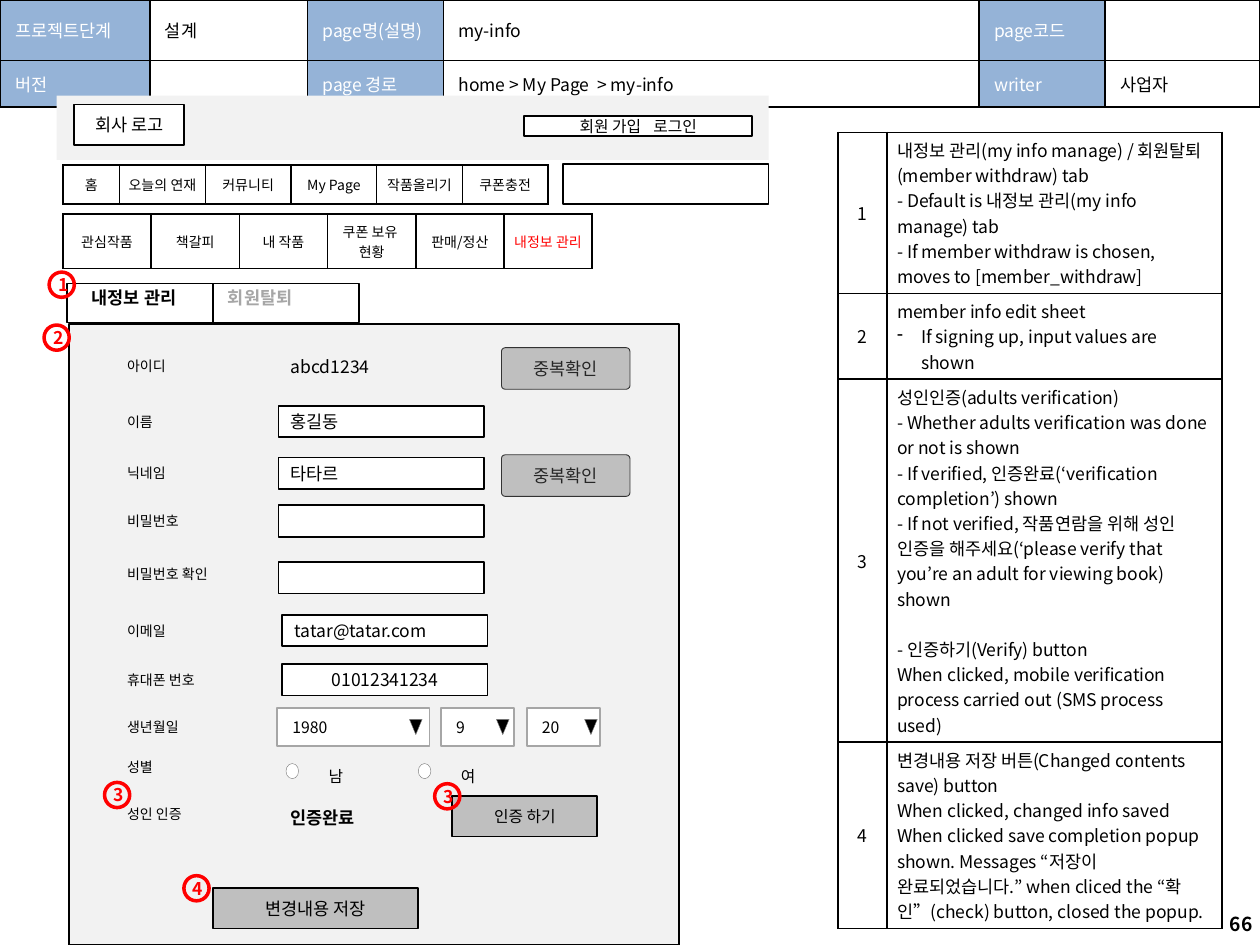
from lxml import etree
from pptx import Presentation
from pptx import util as u
from pptx.dml.color import RGBColor
from pptx.enum import shapes, text
from pptx.oxml.ns import qn

THEME = {
    "font": "Noto Sans CJK KR", "button_font": "Calibri",
    "ink": "000000", "white": "FFFFFF", "head": "95B3D7", "panel": "F2F2F2",
    "button": "BFBFBF", "muted": "A6A6A6", "red": "FF0000", "edge": "333333",
    "button_ink": "262626", "control": "808080",
    "small": 8, "mid": 9, "body": 10, "page": 11,
}
T = THEME
W, H = 10, 7.5
C, R = text.PP_ALIGN.CENTER, text.PP_ALIGN.RIGHT
MID, TOP = text.MSO_ANCHOR.MIDDLE, text.MSO_ANCHOR.TOP
RECT, OVAL = shapes.MSO_SHAPE.RECTANGLE, shapes.MSO_SHAPE.OVAL

# ---- Content ----
HEADER = [["프로젝트단계", "설계", "page명(설명)", "my-info", "page코드", ""],
          ["버전", "", "page 경로", "home > My Page  > my-info", "writer", "사업자"]]
MENU = ["홈", "오늘의 연재", "커뮤니티", "My Page", "작품올리기", "쿠폰충전"]
SUBMENU = ["관심작품", "책갈피", "내 작품", ["쿠폰 보유 ", "현황"], "판매/정산", "내정보 관리"]
NOTES = [
    ["내정보 관리(my info manage) / 회원탈퇴(member withdraw) tab\n"
     "- Default is 내정보 관리(my info manage) tab\n"
     "- If member withdraw is chosen, moves to [member_withdraw]"],
    ["member info edit sheet", {"bullet": "If signing up, input values are shown"}],
    ["성인인증(adults verification)",
     "- Whether adults verification was done or not is shown",
     "- If verified, 인증완료(‘verification completion’) shown",
     "- If not verified, 작품연람을 위해 성인 인증을 해주세요"
     "(‘please verify that you’re an adult for viewing book) shown",
     {"spaced": "- 인증하기(Verify) button"},
     "When clicked, mobile verification process carried out (SMS process used)"],
    ["변경내용 저장 버튼(Changed contents save) button",
     "When clicked, changed info saved",
     "When clicked save completion popup shown. Messages “저장이 완료되었습니다.” "
     "when cliced the “확인”(check) button, closed the popup."],
]
NOTE_HEIGHTS = [1.28, 0.67, 2.88, 1.48]
LABELS = [("아이디", 2.79), ("이름", 3.23), ("닉네임", 3.64), ("비밀번호", 4.02),
          ("비밀번호 확인", 4.44), ("이메일", 4.89), ("휴대폰 번호", 5.28),
          ("생년월일", 5.65), ("성별", 5.97), ("성인 인증", 6.34)]
FIELDS = [("홍길동", 2.21, 3.22, None), ("타타르", 2.21, 3.63, None), ("", 2.21, 4.01, None),
          ("", 2.21, 4.46, None), ("tatar@tatar.com", 2.24, 4.88, None),
          ("01012341234", 2.24, 5.27, C)]
BIRTH = [("1980", 2.2, 1.21, 3.25), ("9", 3.5, 0.58, 3.94), ("20", 4.18, 0.58, 4.64)]
GENDER = [("남", 2.27), ("여", 3.32)]
TABS = [("내정보 관리", 0.65, T["ink"]), ("회원탈퇴", 1.73, T["muted"])]
BADGES = [("1", 0.39, 2.16), ("2", 0.35, 2.58), ("3", 0.83, 6.21),
          ("3", 3.45, 6.22), ("4", 1.46, 6.95)]

prs = Presentation()
prs.slide_width, prs.slide_height = u.Inches(W), u.Inches(H)
s = prs.slides.add_slide(prs.slide_layouts[6])


def box(*lengths):
    return [u.Inches(v) for v in lengths]


def sub(parent, tag, **attrs):
    return etree.SubElement(parent, qn(tag), attrs)


# ---- Text ----
def write(tf, content, size=T["body"], color=T["ink"], bold=False, align=None,
          font=T["font"], spacing=None, gap=None):
    """Content is one paragraph or a list; gap widens the space between two words."""
    for i, item in enumerate(content if isinstance(content, list) else [content]):
        p = tf.paragraphs[0] if i == 0 else tf.add_paragraph()
        kind, words = next(iter(item.items())) if isinstance(item, dict) else ("", item)
        if kind == "bullet":
            pPr = p._p.get_or_add_pPr()
            pPr.set("marL", str(u.Inches(0.19)))
            pPr.set("indent", str(-u.Inches(0.19)))
            sub(pPr, "a:buChar", char="-")
        if kind == "spaced":
            p.space_before = u.Pt(14.4)
        p.alignment, p.line_spacing = align, spacing
        if gap:
            for part in (words[0], " ", words[1]):
                p.add_run().text = part
            p.runs[1]._r.get_or_add_rPr().set("spc", str(gap))
        else:
            p.text = words
        for r in p.runs:
            for key, value in {"size": u.Pt(size), "bold": bold, "name": font}.items():
                setattr(r.font, key, value)
            r.font.color.rgb = RGBColor.from_string(color)
            sub(r._r.rPr, "a:ea", typeface=T["font"])
        for br in p._p.findall(qn("a:br")):
            sub(br, "a:rPr", sz=str(size * 100))
        if not p.runs:
            sub(p._p, "a:endParaRPr", sz=str(size * 100))


def frame(tf, anchor=MID, ins=(0.1, 0.05), wrap=True, grow=False):
    tf.word_wrap, tf.vertical_anchor = wrap, anchor
    tf.margin_left = tf.margin_right = u.Inches(ins[0])
    tf.margin_top = tf.margin_bottom = u.Inches(ins[1])
    if grow:
        tf.auto_size = text.MSO_AUTO_SIZE.SHAPE_TO_FIT_TEXT


def label(at, words, anchor=MID, ins=(0.1, 0.05), wrap=True, grow=False, **fmt):
    tf = s.shapes.add_textbox(*box(*at)).text_frame
    frame(tf, anchor, ins, wrap, grow)
    write(tf, words, **fmt)


# ---- Shapes and tables ----
def shape(at, words="", fill=T["white"], line=T["ink"], width=1, kind=RECT,
          ins=(0.1, 0.05), **fmt):
    sp = s.shapes.add_shape(kind, *box(*at))
    sp.shadow.inherit = False
    for part, color in ((sp.fill, fill), (sp.line.fill, line)):
        if color:
            part.solid()
            part.fore_color.rgb = RGBColor.from_string(color)
        else:
            part.background()
    if line:
        sp.line.width = u.Pt(width)
    if words:
        frame(sp.text_frame, ins=ins)
        write(sp.text_frame, words, **fmt)
    return sp


def table(left, top, cols, heights, rows, ins, style):
    """style(row, column) gives a cell's fill and its text format."""
    tbl = s.shapes.add_table(len(rows), len(cols),
                             *box(left, top, sum(cols), sum(heights))).table
    for col, width in zip(tbl.columns, cols):
        col.width = u.Inches(width)
    for row, height in zip(tbl.rows, heights):
        row.height = u.Inches(height)
    for i, row in enumerate(rows):
        for j, words in enumerate(row):
            cell = tbl.cell(i, j)
            fill, fmt = style(i, j)
            cell.vertical_anchor = MID
            cell.margin_left = cell.margin_right = u.Inches(ins[0])
            cell.margin_top = cell.margin_bottom = u.Inches(ins[1])
            write(cell.text_frame, words, **fmt)
            tcPr = cell._tc.get_or_add_tcPr()
            for side in ("a:lnL", "a:lnR", "a:lnT", "a:lnB"):
                ln = sub(tcPr, side, w=str(u.Pt(1)))
                sub(sub(ln, "a:solidFill"), "a:srgbClr", val=T["ink"])
            if fill:
                cell.fill.solid()
                cell.fill.fore_color.rgb = RGBColor.from_string(fill)
            else:
                cell.fill.background()


# Page header and notes
table(0, 0, [1.19, 1.25, 1.08, 4.25, 1, 1.23], [0.48, 0.37], HEADER, (0.12, 0.04),
      lambda i, j: (None, {}) if j % 2 else (T["head"], {"color": T["white"]}))
table(6.65, 1.05, [0.39, 2.66], NOTE_HEIGHTS,
      [[str(n), note] for n, note in enumerate(NOTES, 1)], (0.08, 0.04),
      lambda i, j: (None, {"align": None if j else C}))
label((7.71, 7.13, 2.33, 0.4), "66", size=T["page"], bold=True, align=R)

# Site banner and menus
shape((0.55, 2.57, 4.84, 4.93), fill=T["panel"])
shape((0.45, 0.76, 5.65, 0.51), fill=T["panel"], line=None)
menu_style = {"size": T["small"], "align": C}
table(0.5, 1.7, [0.7] * 6, [0.43], [SUBMENU], (0.04, 0.05),
      lambda i, j: (T["white"], {**menu_style, "color": T["red" if j == 5 else "ink"]}))
table(0.5, 1.31, [0.45] + [0.68] * 5, [0.31], [MENU], (0.04, 0.05),
      lambda i, j: (T["white"], menu_style))
shape((0.59, 0.83, 0.87, 0.32), "회사 로고", align=C)
shape((4.16, 0.92, 1.81, 0.16), [("회원 가입", "로그인")], size=T["mid"], align=C, gap=500)
shape((4.47, 1.3, 1.63, 0.32))

# Form rows
for words, y in LABELS:
    label((0.91, y, 1.89, 0.24), words, anchor=TOP, grow=True, size=T["small"])
for words, y, bold in (("abcd1234", 2.78, False), ("인증완료", 6.36, True)):
    label((2.21, y, 1.63, 0.25), words, bold=bold)
for words, x, y, align in FIELDS:
    shape((x, y, 1.63, 0.25), words, align=align)
for y in (2.76, 3.61):
    sp = shape((3.98, y, 1.02, 0.33), "중복확인", T["button"], T["edge"], 0.5,
               shapes.MSO_SHAPE.ROUNDED_RECTANGLE, align=C, color=T["button_ink"],
               font=T["button_font"])
    sp.adjustments[0] = 0.09
shape((3.59, 6.32, 1.15, 0.32), "인증 하기", T["button"], size=T["mid"], align=C)
shape((1.69, 7.05, 1.63, 0.32), "변경내용 저장", T["button"], align=C)

# Birth date lists and gender choices
for words, x, width, arrow in BIRTH:
    shape((x, 5.62, width, 0.3), words, line=T["muted"], ins=(0.12, 0), size=T["mid"])
    sp = shape((arrow, 5.71, 0.1, 0.12), fill=T["ink"], line=T["control"], width=0.25,
               kind=shapes.MSO_SHAPE.ISOSCELES_TRIANGLE)
    sp.rotation = 180
for words, x in GENDER:
    shape((x, 6.06, 0.1, 0.12), line=T["control"], width=0.25, kind=OVAL)
    label((x + 0.24, 5.96, 0.28, 0.3), words, anchor=TOP, wrap=False, grow=True,
          size=T["mid"], spacing=1.5)

# Tabs and numbered badges
for i, (words, x, color) in enumerate(TABS):
    shape((0.53 + 1.16 * i, 2.25, 1.16, 0.31), fill=None)
    label((x, 2.25, 2.14, 0.23), words, ins=(0.08, 0.04), bold=True, color=color)
for words, x, y in BADGES:
    shape((x, y, 0.2, 0.2), words, None, T["red"], 2, OVAL, align=C,
          color=T["red"], bold=True)

prs.save("out.pptx")
